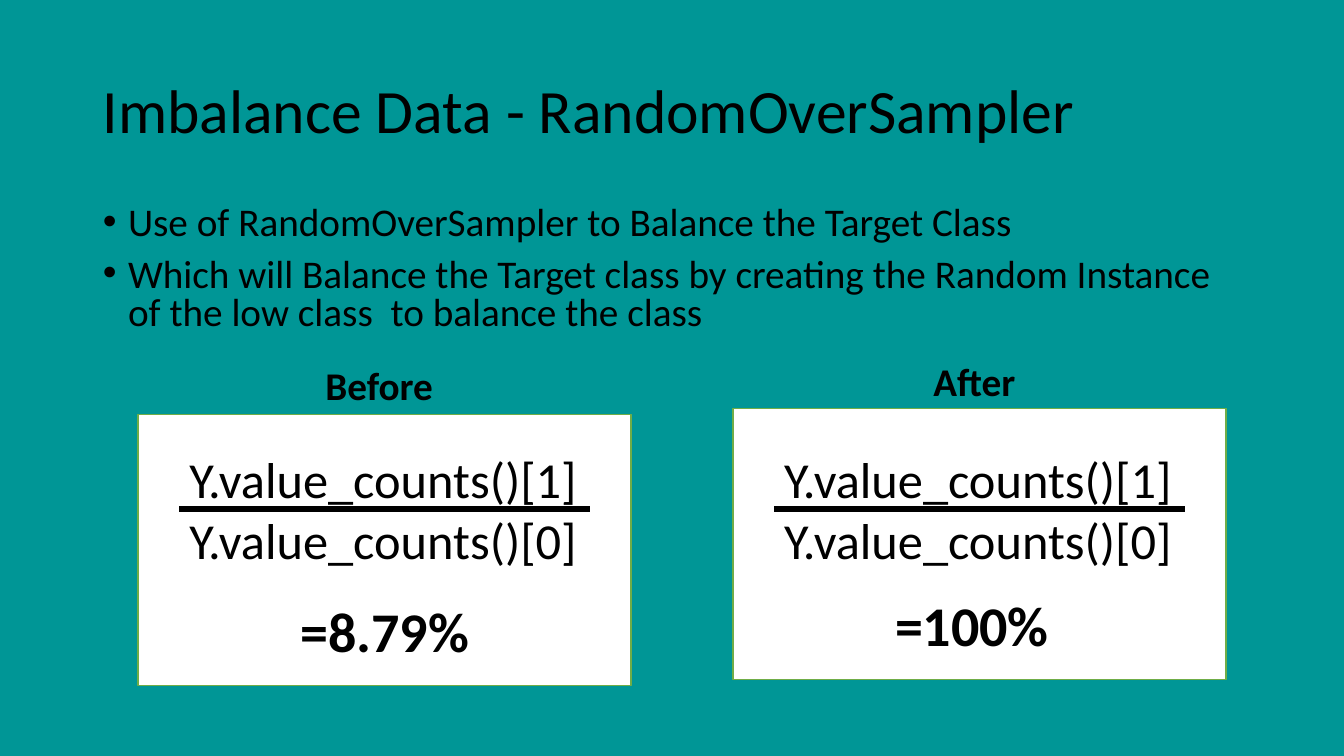
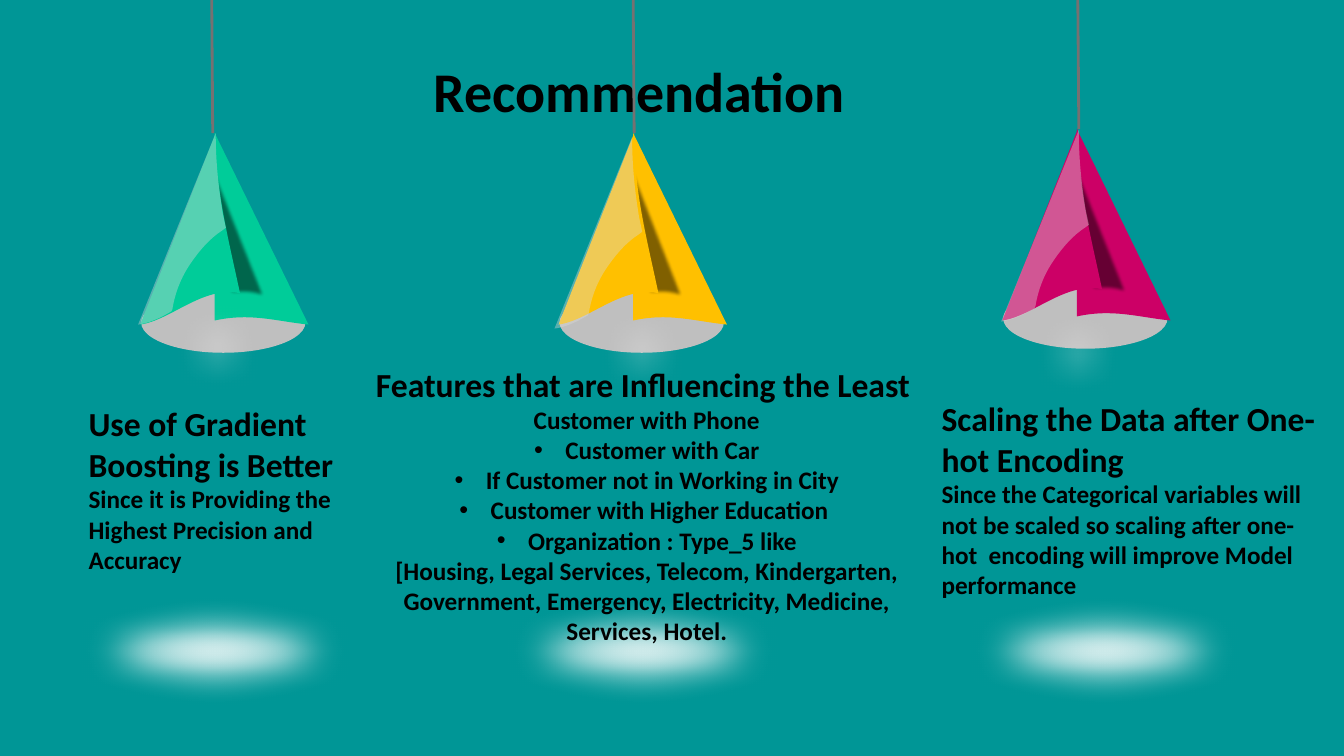
"""Build two slides on class balancing and model recommendations."""
from lxml.etree import SubElement
from pptx import Presentation
from pptx.dml.color import RGBColor
from pptx.enum.shapes import MSO_CONNECTOR, MSO_SHAPE
from pptx.enum.text import MSO_ANCHOR as Anchor, MSO_AUTO_SIZE as AutoSize, PP_ALIGN as Align
from pptx.oxml.ns import qn
from pptx.util import Inches, Pt

TEAL = RGBColor(0x00, 0x96, 0x96)
BLACK = RGBColor(0x00, 0x00, 0x00)
WHITE = RGBColor(0xFF, 0xFF, 0xFF)
LEAF = RGBColor(0x70, 0xAD, 0x47)
CORD = RGBColor(0x76, 0x71, 0x71)
SILVER = RGBColor(0xBF, 0xBF, 0xBF)
GLOSS = RGBColor(0xD9, 0xD9, 0xD9)
MINT = RGBColor(0x00, 0xCC, 0x99)
AMBER = RGBColor(0xFF, 0xC0, 0x00)
MAGENTA = RGBColor(0xCC, 0x00, 0x66)
FONT = "Calibri"


def write(frame, text, size=18, bold=False, align=Align.LEFT, indent=0, spacing=None, before=0,
          join=False):
    """Add a formatted paragraph to a text frame, or join the text to its last one."""
    para = frame.paragraphs[-1] if join or not frame.text else frame.add_paragraph()
    para.alignment = align
    para.space_before = Pt(before)
    if spacing:
        para.line_spacing = spacing
    if indent:
        properties = para._p.get_or_add_pPr()
        properties.set("marL", str(Inches(indent)))
        properties.set("indent", str(-Inches(indent)))
        SubElement(properties, qn("a:buFont"), typeface="Arial")
        SubElement(properties, qn("a:buChar"), char="•")
    span = para.add_run()
    span.text = text
    span.font.name = FONT
    span.font.size = Pt(size)
    span.font.bold = bold
    span.font.color.rgb = BLACK


def paint(shape, color, weight=None, alpha=None, soft=None):
    """Colour a line of the given weight, or else a fill with optional alpha and soft edge."""
    if weight:
        shape.line.color.rgb = color
        shape.line.width = Pt(weight)
    else:
        shape.fill.solid()
        shape.fill.fore_color.rgb = color
        shape.line.fill.background()
    properties = shape._element.spPr
    if alpha:
        tone = properties.find(qn("a:solidFill")).find(qn("a:srgbClr"))
        SubElement(tone, qn("a:alpha"), val=str(alpha * 1000))
    effects = SubElement(properties, qn("a:effectLst"))
    if soft:
        SubElement(effects, qn("a:softEdge"), rad=str(Pt(soft)))


deck = Presentation()
deck.slide_width, deck.slide_height = Inches(13.33), Inches(7.5)
backdrop = deck.slide_master.background.fill
backdrop.solid()
backdrop.fore_color.rgb = TEAL

page = deck.slides.add_slide(deck.slide_layouts[1])
title, body = page.shapes.title, page.placeholders[1]
for box, top, anchor in [(title, 0.4, Anchor.MIDDLE), (body, 2, Anchor.TOP)]:
    box.left, box.top, box.width, box.height = (Inches(n) for n in (0.92, top, 11.5, 1.45))
    box.text_frame.auto_size = AutoSize.NONE
    box.text_frame.vertical_anchor = anchor
write(title.text_frame, "Imbalance Data - RandomOverSampler", size=44, spacing=0.9)
for point in [
    "Use of RandomOverSampler to Balance the Target Class",
    "Which will Balance the Target class by creating the Random Instance of the low class  to balance the class",
]:
    write(body.text_frame, point, size=28, indent=0.25, spacing=0.8, before=10)

FRACTION_WIDTH = 4.07
for left, top, captions in [
    (1.37, 4.11, [("Before", 3.13, 3.54, 1.37, 0.57, 28), ("=8.79%", 2.88, 5.87, 1.88, 0.77, 40)]),
    (7.27, 4.05, [("After", 9.16, 3.5, 1.12, 0.57, 28), ("=100%", 8.78, 5.81, 1.74, 0.77, 40)]),
]:
    panel = page.shapes.add_shape(
        MSO_SHAPE.RECTANGLE, Inches(left), Inches(top), Inches(4.89), Inches(2.69))
    paint(panel, WHITE)
    panel.line.color.rgb = LEAF
    panel.line.width = Pt(1)
    for text, *place, size in captions:
        box = page.shapes.add_textbox(*(Inches(n) for n in place))
        box.text_frame.word_wrap = False
        box.text_frame.auto_size = AutoSize.SHAPE_TO_FIT_TEXT
        write(box.text_frame, text, size=size, bold=True)
    start = left + 0.41
    fraction = page.shapes.add_textbox(
        Inches(start), Inches(4.4), Inches(FRACTION_WIDTH), Inches(1.31))
    fraction.text_frame.word_wrap = True
    for term in ["Y.value_counts()[1]", "Y.value_counts()[0]"]:
        write(fraction.text_frame, term, size=36)
    bar = page.shapes.add_connector(
        MSO_CONNECTOR.STRAIGHT, Inches(start), Inches(5.05),
        Inches(start + FRACTION_WIDTH), Inches(5.05))
    paint(bar, BLACK, weight=4.5)

page = deck.slides.add_slide(deck.slide_layouts[5])
title = page.shapes.title
title.left, title.top, title.width, title.height = (Inches(n) for n in (4.2, 0.51, 4.95, 0.77))
title.text_frame.auto_size = AutoSize.NONE
title.text_frame.vertical_anchor = Anchor.TOP
write(title.text_frame, "Recommendation", size=40, bold=True)

for left in [0.36, 4.61, 9.19]:
    pool = page.shapes.add_shape(
        MSO_SHAPE.OVAL, Inches(left), Inches(5.9), Inches(3.54), Inches(1.12))
    paint(pool, WHITE, soft=25)

OUTLINES = {
    "right": [(2.13, 3.18), (2.13, 2.58, 2.13, 1.92, 2.13, 1.32), (3.06, 3.22),
              (2.75, 3.19, 2.49, 3.1, 2.13, 3.18)],
    "shadow": [(2.27, 2.94), (2.27, 2.58, 2.07, 1.82, 2.07, 1.45), (2.66, 2.97),
               (2.53, 2.95, 2.42, 2.89, 2.27, 2.94)],
    "left": [(2.38, 2.91), (2.26, 2.34, 2.14, 1.92, 2.14, 1.32), (1.39, 3.22),
             (1.69, 3.18, 2.02, 2.83, 2.38, 2.91)],
    "gloss": [(2.14, 1.32), (2.14, 1.62, 2.17, 1.88, 2.21, 2.12), (2.24, 2.26), (2.2, 2.29),
              (2.09, 2.36, 1.98, 2.48, 1.88, 2.63), (1.78, 2.78, 1.73, 2.94, 1.71, 3.07),
              (1.7, 3.09), (1.61, 3.14), (1.53, 3.18, 1.45, 3.21, 1.37, 3.22)],
}
for color, across, down, gloss_across, gloss_down, cord_left, glow_left, glow_top in [
    (MAGENTA, 8.55, -0.04, 8.56, -0.03, 10.69, 10.14, 2.91),
    (AMBER, 4.15, 0, 4.13, 0.04, 6.28, 5.82, 2.89),
    (MINT, 0, 0, 0, 0, 2.1, 1.61, 2.86),
]:
    cord = page.shapes.add_connector(
        MSO_CONNECTOR.STRAIGHT, Inches(cord_left + 0.01), Inches(1.32 + down),
        Inches(cord_left), Inches(0))
    paint(cord, CORD, weight=2)
    rim = page.shapes.add_shape(
        MSO_SHAPE.OVAL, Inches(1.4 + across), Inches(2.9 + down), Inches(1.63), Inches(0.6))
    paint(rim, SILVER)
    for part, tint, alpha, soft, shift, drop in [
        ("right", color, None, None, across, down),
        ("shadow", BLACK, 50, 2.5, across, down),
        ("left", color, None, None, across, down),
        ("gloss", GLOSS, 40, None, gloss_across, gloss_down),
    ]:
        points = [(Inches(x + shift), Inches(y + drop))
                  for segment in OUTLINES[part] for x, y in zip(segment[::2], segment[1::2])]
        builder = page.shapes.build_freeform(*points[0])
        builder.add_line_segments(points[1:], close=True)
        piece = builder.convert_to_shape()
        lines = iter(list(piece._element.iter(qn("a:lnTo"))))
        for segment in OUTLINES[part][1:]:
            line = next(lines)
            if len(segment) == 6:
                line.tag = qn("a:cubicBezTo")
                for extra in (next(lines), next(lines)):
                    line.append(extra[0])
                    extra.getparent().remove(extra)
        paint(piece, tint, alpha=alpha, soft=soft)
    glow = page.shapes.add_shape(
        MSO_SHAPE.OVAL, Inches(glow_left), Inches(glow_top), Inches(1.1), Inches(1.17))
    paint(glow, WHITE, soft=25)

for left, top, width, height, align, heading, lines in [
    (0.78, 3.95, 3.12, 1.82, Align.LEFT, "Use of Gradient Boosting is Better",
     [("Since it is Providing the Highest Precision and Accuracy", 0, False)]),
    (9.24, 3.9, 3.91, 2.12, Align.LEFT, "Scaling the Data after One-hot Encoding",
     [("Since the Categorical variables will not be scaled so scaling after one-hot  encoding "
       "will improve Model performance", 0, False)]),
    (3.62, 3.56, 5.59, 3.03, Align.CENTER, "Features that are Influencing the Least  ",
     [("Customer with Phone", 0, True),
      ("Customer with Car", 0.31, False),
      ("If Customer not in Working in City", 0.31, False),
      ("Customer with Higher Education ", 0.31, False),
      ("Organization : Type_5 like", 0.31, False),
      ("[Housing, Legal Services, Telecom, Kindergarten, Government, Emergency, Electricity, "
       "Medicine, Services, Hotel.", 0, False)]),
]:
    box = page.shapes.add_textbox(Inches(left), Inches(top), Inches(width), Inches(height))
    box.text_frame.word_wrap = True
    write(box.text_frame, heading, size=24, bold=True, align=align)
    for line, indent, join in lines:
        write(box.text_frame, line, bold=True, align=align, indent=indent, join=join)

deck.save("out.pptx")
